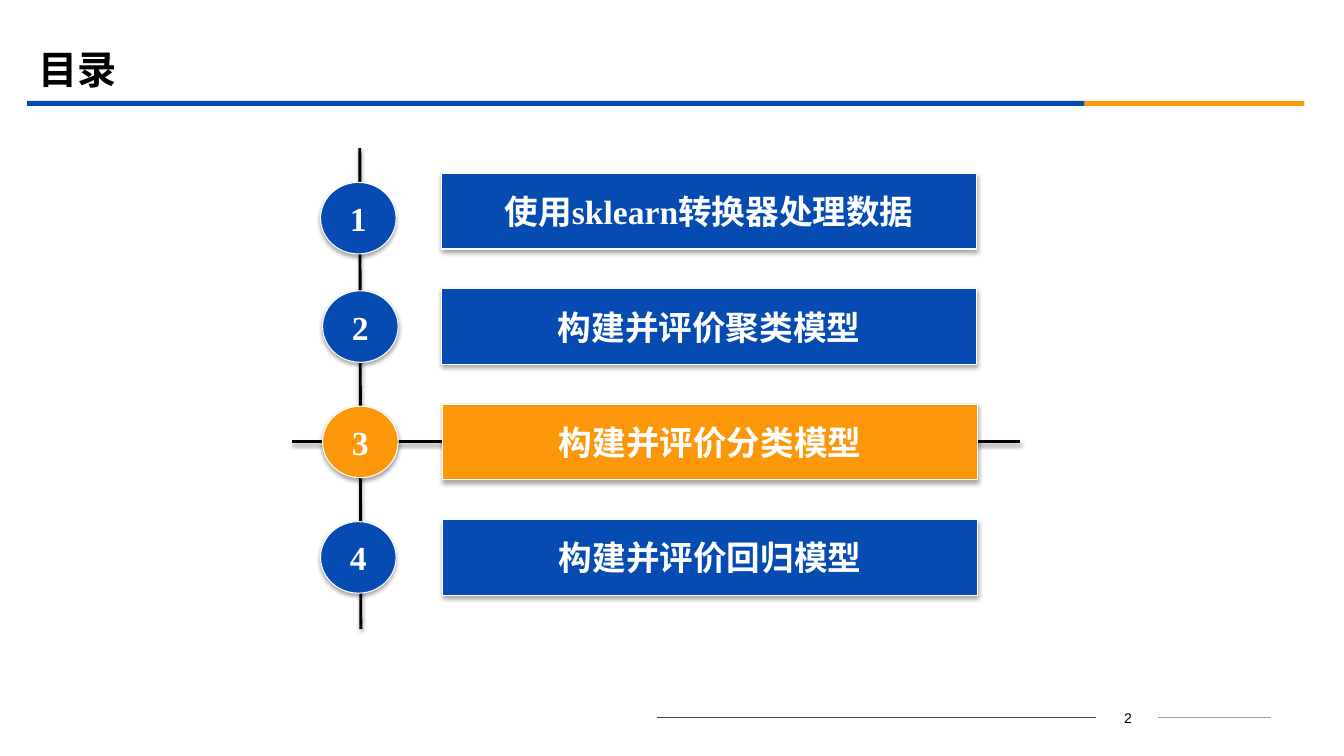
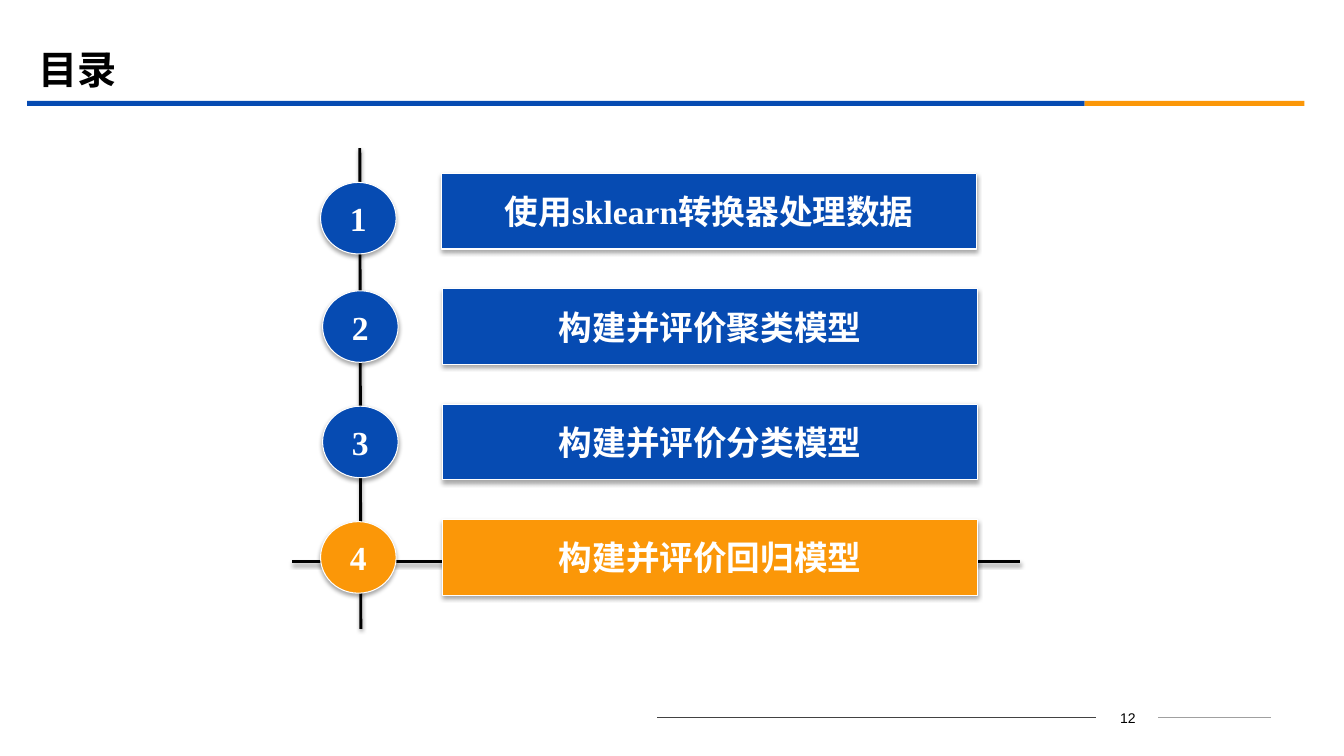
from dataclasses import dataclass

from lxml import etree
from pptx import Presentation
from pptx import util as u
from pptx.dml.color import RGBColor
from pptx.enum import lang, shapes, text
from pptx.oxml.ns import qn

# All lengths are columns and rows of a grid with square cells
CELL = u.Inches(0.1)
COLS, ROWS = 133.33, 75

COLORS = {
    "blue": "064BB2",
    "orange": "FB9708",
    "black": "000000",
    "white": "FFFFFF",
    "dark_rule": "424242",
    "light_rule": "A0A0A0",
}
SERIF, SANS = "Times New Roman", "Arial"


@dataclass(frozen=True)
class Box:
    col: float
    row: float
    cols: float
    rows: float

    def emu(self) -> list[int]:
        return [grid(n) for n in (self.col, self.row, self.cols, self.rows)]


@dataclass(frozen=True)
class Style:
    size: float
    color: str
    font: str = SERIF
    bold: bool = True
    align: text.PP_ALIGN = text.PP_ALIGN.CENTER


@dataclass(frozen=True)
class Chapter:
    title: str
    badge_col: float
    badge_drop: float  # badge top below bar top


@dataclass(frozen=True)
class Agenda:
    page: int
    current: int
    marker_row: float
    bar_cols: tuple[float, ...]


TITLE = Style(28, "black", align=text.PP_ALIGN.LEFT)
LABEL = Style(24, "white")
PAGE = Style(10, "black", SANS, bold=False)

FIRST_BAR, BAR_PITCH = 17.2, 11.45
CHAPTERS = [
    Chapter("使用sklearn转换器处理数据", 31.8, 0.9),
    Chapter("构建并评价聚类模型", 32, 0.2),
    Chapter("构建并评价分类模型", 32, 0.2),
    Chapter("构建并评价回归模型", 31.8, 0.2),
]
AGENDAS = [
    Agenda(2, 3, 43.8, (43.8, 43.8, 43.9, 43.9)),
    Agenda(12, 4, 55.7, (43.8, 43.9, 43.9, 43.9)),
]


def grid(n: float) -> int:
    return round(n * CELL)


def rgb(name: str) -> RGBColor:
    return RGBColor.from_string(COLORS[name])


def set_shadow(sp, alpha: int = 0, dist: float = 0) -> None:
    """Give a shape or connector a soft drop shadow, or none if alpha is 0."""
    sppr = sp._element.spPr
    effects = sppr.find(qn("a:effectLst"))
    if effects is None:
        effects = etree.SubElement(sppr, qn("a:effectLst"))
    if alpha:
        shadow = etree.SubElement(
            effects, qn("a:outerShdw"), blurRad=str(u.Pt(3.1)),
            dist=str(u.Pt(dist)), dir="5400000", rotWithShape="0")
        color = etree.SubElement(shadow, qn("a:srgbClr"), val=COLORS["black"])
        etree.SubElement(color, qn("a:alpha"), val=str(alpha * 1000))


def write(sp, content: str, style: Style, anchor=text.MSO_ANCHOR.MIDDLE,
          wrap: bool = True) -> None:
    tf = sp.text_frame
    tf.text = content
    tf.word_wrap = wrap
    tf.vertical_anchor = anchor
    p = tf.paragraphs[0]
    p.alignment = style.align
    f = p.runs[0].font
    f.name, f.size, f.bold = style.font, u.Pt(style.size), style.bold
    f.color.rgb = rgb(style.color)
    f.language_id = lang.MSO_LANGUAGE_ID.SIMPLIFIED_CHINESE


def add_block(s, kind, box: Box, fill: str):
    sp = s.shapes.add_shape(kind, *box.emu())
    sp.shadow.inherit = False
    sp.fill.solid()
    sp.fill.fore_color.rgb = rgb(fill)
    sp.line.fill.background()
    return sp


def add_label(s, kind, box: Box, fill: str, content: str) -> None:
    sp = add_block(s, kind, box, fill)
    sp.line.color.rgb = rgb("white")
    sp.line.width = u.Pt(0.75)
    set_shadow(sp, alpha=35, dist=1.8)
    write(sp, content, LABEL, wrap=False)


def add_line(s, start: tuple[float, float], end: tuple[float, float],
             color: str, width: float):
    ln = s.shapes.add_connector(
        shapes.MSO_CONNECTOR.STRAIGHT, *(grid(n) for n in start + end))
    ln.line.color.rgb = rgb(color)
    ln.line.width = u.Pt(width)
    set_shadow(ln)
    return ln


def add_frame(s, title: str, page: int) -> None:
    # Two-colour band under the title
    rect = shapes.MSO_SHAPE.RECTANGLE
    add_block(s, rect, Box(2.7, 10, 104.9, 0.5), "blue")
    add_block(s, rect, Box(107.6, 10, 21.8, 0.5), "orange")
    # Footer rules on both sides of the page number
    add_line(s, (114.9, 71.2), (126.1, 71.2), "light_rule", 0.75)
    add_line(s, (65.2, 71.2), (108.7, 71.2), "dark_rule", 0.75)
    number = s.shapes.add_textbox(*Box(108.8, 69.9, 6.2, 2.5).emu())
    write(number, str(page), PAGE, anchor=text.MSO_ANCHOR.TOP)
    # Title
    heading = s.shapes.add_textbox(*Box(2.8, 3.9, 120, 5.8).emu())
    write(heading, title, TITLE)


def add_agenda(s, agenda: Agenda) -> None:
    # Spine through the badges, marker line through the current chapter
    row = agenda.marker_row
    for start, end in [((35.7, 14.7), (35.8, 62.4)),
                       ((29, row), (101.2, row))]:
        set_shadow(add_line(s, start, end, "black", 2), alpha=38, dist=1.6)
    # Chapter bars with numbered badges
    for i, (chapter, bar_col) in enumerate(zip(CHAPTERS, agenda.bar_cols)):
        fill = "orange" if i + 1 == agenda.current else "blue"
        top = FIRST_BAR + i * BAR_PITCH
        add_label(s, shapes.MSO_SHAPE.ACTION_BUTTON_CUSTOM,
                  Box(bar_col, top, 53.1, 7.5), fill, chapter.title)
        add_label(s, shapes.MSO_SHAPE.OVAL,
                  Box(chapter.badge_col, top + chapter.badge_drop, 7.5, 7.1),
                  fill, str(i + 1))


def main() -> None:
    prs = Presentation()
    prs.slide_width, prs.slide_height = grid(COLS), grid(ROWS)
    for agenda in AGENDAS:
        s = prs.slides.add_slide(prs.slide_layouts[6])
        add_frame(s, "目录", agenda.page)
        add_agenda(s, agenda)
    prs.save("out.pptx")


if __name__ == "__main__":
    main()
